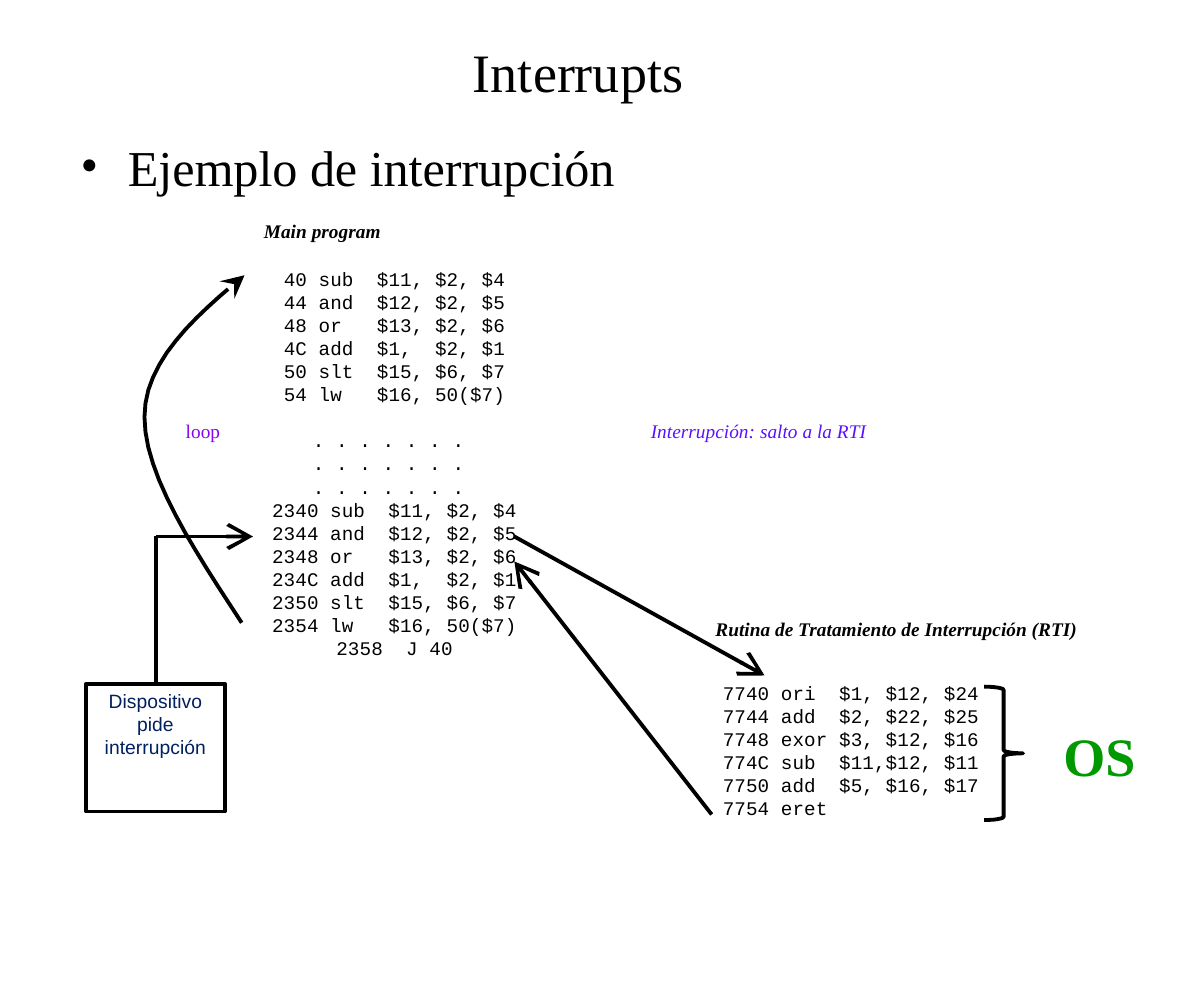
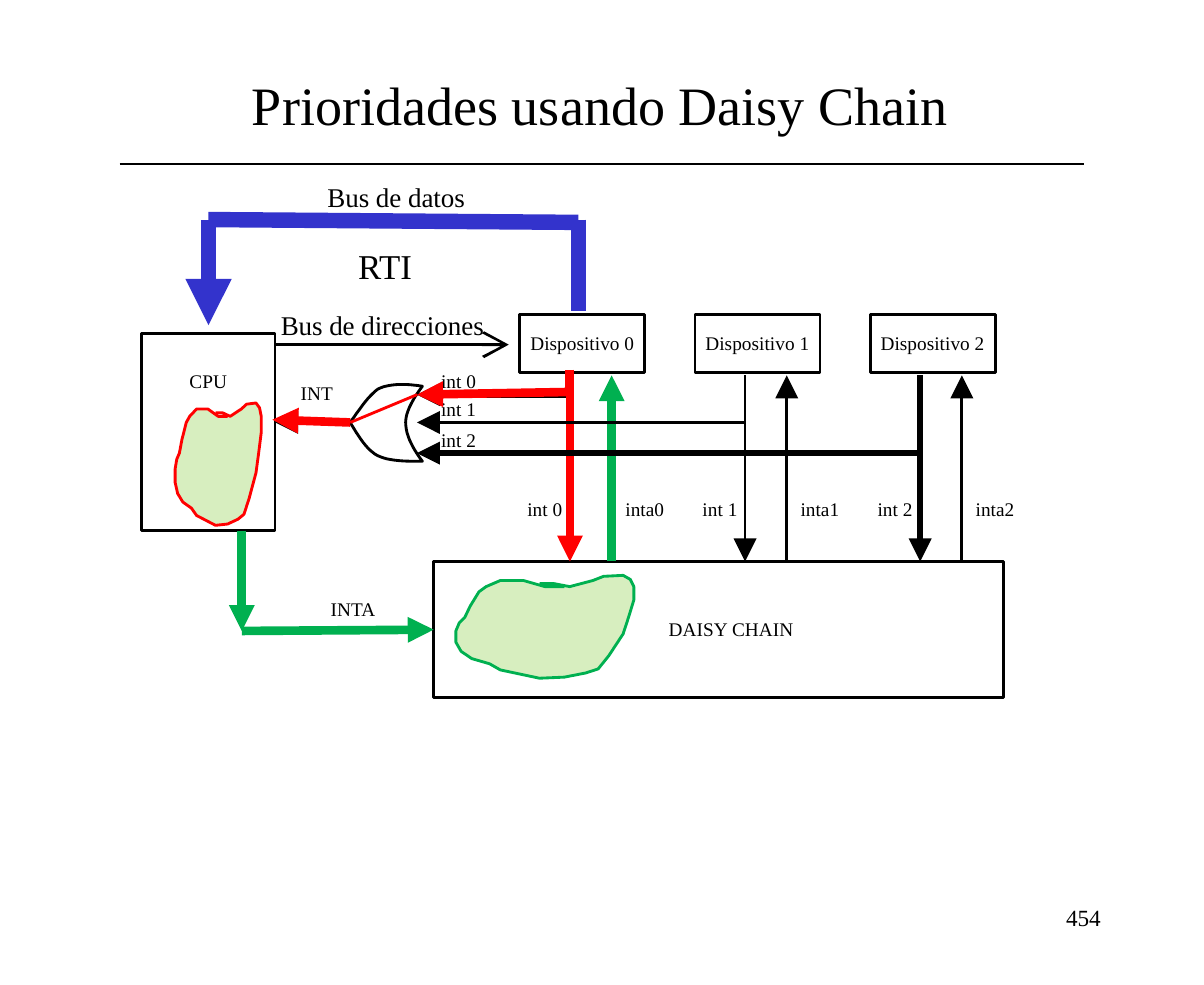
from dataclasses import dataclass

import pptx
import pptx.dml.color
import pptx.enum.shapes
import pptx.enum.text
import pptx.oxml.ns
import pptx.oxml.xmlchemy
import pptx.util
from pptx.util import Inches

SERIF, SANS, MONO = "Times New Roman", "Arial", "Courier New"
BLACK, RED, GREEN, BLUE = "000000", "FF0000", "00B050", "3333CC"
LIME, NAVY, OS_GREEN = "92D050", "002060", "009900"
PURPLE, VIOLET = "8901F3", "5A11FD"
ALIGN = pptx.enum.text.PP_ALIGN
ANCHOR = pptx.enum.text.MSO_ANCHOR
SHAPE = pptx.enum.shapes.MSO_SHAPE
qn = pptx.oxml.ns.qn
Points = list[tuple[float, float]]

# One string a paragraph; a newline is a line break inside it.
MAIN_START = [
    "40 sub  $11, $2, $4",
    "44 and  $12, $2, $5\n"
    "48 or   $13, $2, $6\n"
    "4C add  $1,  $2, $1\n"
    "50 slt  $15, $6, $7\n"
    "54 lw   $16, 50($7)",
]
MAIN_END = [". . . . . . . "] * 3 + [
    "2340 sub  $11, $2, $4",
    "2344 and  $12, $2, $5\n"
    "2348 or   $13, $2, $6\n"
    "234C add  $1,  $2, $1\n"
    "2350 slt  $15, $6, $7\n"
    "2354 lw   $16, 50($7)",
    "2358  J 40",
]
ROUTINE = [
    "7740 ori  $1, $12, $24",
    "7744 add  $2, $22, $25\n"
    "7748 exor $3, $12, $16\n"
    "774C sub  $11,$12, $11\n"
    "7750 add  $5, $16, $17",
    "7754 eret",
]
LOOP = [(0.87, 2.24), (0.7, 1.98), (0.52, 1.71), (0.52, 1.5),
        (0.52, 1.3), (0.7, 1.14), (0.88, 0.99)]
OR_GATE = [(1.52, 1.66), (1.46, 1.66), (1.4, 1.66), (1.36, 1.64),
           (1.32, 1.62), (1.29, 1.57), (1.26, 1.52),
           (1.29, 1.48), (1.32, 1.43), (1.36, 1.4),
           (1.4, 1.38), (1.46, 1.38), (1.52, 1.39),
           (1.49, 1.43), (1.46, 1.48), (1.46, 1.52),
           (1.46, 1.57), (1.49, 1.62), (1.52, 1.66)]
# Hand-drawn outline, as fractions of its width and height.
BLOB = [(0.61, 0.11), (0.5, 0.11), (0.38, 0.05), (0.25, 0.05), (0.17, 0.11),
        (0.13, 0.16), (0.08, 0.3), (0.05, 0.41), (0.02, 0.46), (0, 0.54),
        (0, 0.65), (0.03, 0.74), (0.09, 0.81), (0.19, 0.86), (0.25, 0.92),
        (0.47, 1), (0.61, 0.99), (0.73, 0.95), (0.8, 0.91), (0.86, 0.78),
        (0.94, 0.57), (0.97, 0.41), (1, 0.24), (1, 0.11), (0.98, 0.04),
        (0.94, 0), (0.83, 0.01), (0.77, 0.05), (0.64, 0.11), (0.55, 0.08),
        (0.47, 0.08)]


@dataclass
class Line:
    x1: float
    y1: float
    x2: float
    y2: float
    color: str = BLACK
    width: float = 0.75
    head: str = ""


@dataclass
class Label:
    text: str
    x: float
    y: float
    w: float = 0.24
    size: float = 5


@dataclass
class Wire:
    """The request line of one device."""
    y: float
    down_color: str
    down_width: float
    bus_width: float
    up_color: str
    up_width: float


def rgb(color: str) -> pptx.dml.color.RGBColor:
    return pptx.dml.color.RGBColor.from_string(color)


def sub(parent, tag: str, **attributes: str) -> None:
    """Append an XML element with its attributes."""
    element = pptx.oxml.xmlchemy.OxmlElement(tag)
    for name, value in attributes.items():
        element.set(name, value)
    parent.append(element)


def set_line(s, color: str, width: float, head: str = "") -> None:
    s.line.color.rgb = rgb(color)
    s.line.width = pptx.util.Pt(width)
    if head:
        sub(s.element.spPr.find(qn("a:ln")), "a:tailEnd", type=head)


def write(tf, paragraphs: list[str], *, size: float = 5, font: str = SERIF,
          color: str = BLACK, bold: bool = False, italic: bool = False, align=ALIGN.CENTER,
          anchor=ANCHOR.TOP, bullet: str = "", gaps: dict[int, float] | None = None) -> None:
    """Fill a text frame; gaps maps a paragraph's index to the points before it."""
    tf.word_wrap = True
    tf.vertical_anchor = anchor
    tf.margin_left = tf.margin_right = Inches(0.04)
    tf.margin_top = tf.margin_bottom = Inches(0.02)
    for i, text in enumerate(paragraphs):
        p = tf.add_paragraph() if i else tf.paragraphs[0]
        p.alignment = align
        if gaps and i in gaps:
            p.space_before = pptx.util.Pt(gaps[i])
        if bullet:
            pPr = p._p.get_or_add_pPr()
            pPr.set("marL", str(Inches(0.17)))
            pPr.set("indent", str(Inches(-0.17)))
            sub(pPr, "a:buFont", typeface=font)
            sub(pPr, "a:buChar", char=bullet)
        p.font.size = pptx.util.Pt(size)
        for n, line in enumerate(text.split("\n")):
            if n:
                p.add_line_break()
            r = p.add_run()
            r.text = line
            r.font.name, r.font.size = font, pptx.util.Pt(size)
            r.font.bold, r.font.italic = bold, italic
            r.font.color.rgb = rgb(color)


def add_text(slide, text: str | list[str], x: float, y: float, w: float, h: float = 0.13,
             **style) -> None:
    box = slide.shapes.add_textbox(Inches(x), Inches(y), Inches(w), Inches(h))
    write(box.text_frame, [text] if isinstance(text, str) else text, **style)


def add_title(slide, text: str, x: float, y: float) -> None:
    add_text(slide, text, x, y, 3.68, 0.59, size=14, anchor=ANCHOR.MIDDLE)


def add_label(slide, label: Label) -> None:
    add_text(slide, label.text, label.x, label.y, label.w, size=label.size)


def add_outline(slide, x: float, y: float, w: float, h: float, width: float = 0.75,
                kind=SHAPE.RECTANGLE):
    """Add an unfilled preset shape."""
    s = slide.shapes.add_shape(kind, Inches(x), Inches(y), Inches(w), Inches(h))
    s.shadow.inherit = False
    s.fill.background()
    set_line(s, BLACK, width)
    return s


def add_line(slide, line: Line):
    c = slide.shapes.add_connector(
        pptx.enum.shapes.MSO_CONNECTOR.STRAIGHT,
        Inches(line.x1), Inches(line.y1), Inches(line.x2), Inches(line.y2))
    set_line(c, line.color, line.width, line.head)
    sub(c.element.spPr, "a:effectLst")
    return c


def bezier(points: Points, steps: int = 12) -> Points:
    """Sample a chain of cubic curves: a start, then three points a curve."""
    out = [points[0]]
    for k in range(0, len(points) - 1, 3):
        a, b, c, d = points[k:k + 4]
        for n in range(1, steps + 1):
            t = n / steps
            u = 1 - t
            out.append(tuple(u**3 * a[j] + 3 * u * u * t * b[j] + 3 * u * t * t * c[j]
                             + t**3 * d[j] for j in (0, 1)))
    return out


def add_freeform(slide, points: Points, color: str = BLACK, width: float = 0.75,
                 head: str = "", fill: str = "") -> None:
    start, *rest = [(Inches(x), Inches(y)) for x, y in points]
    builder = slide.shapes.build_freeform(*start)
    builder.add_line_segments(rest, close=False)
    s = builder.convert_to_shape()
    s.shadow.inherit = False
    if fill:
        s.fill.solid()
        s.fill.fore_color.rgb = rgb(fill)
        sub(s.element.spPr.find(qn("a:solidFill"))[0], "a:alpha", val="36000")
    else:
        s.fill.background()
    set_line(s, color, width, head)


def add_blob(slide, x: float, y: float, w: float, h: float, color: str) -> None:
    add_freeform(slide, [(x + w * u, y + h * v) for u, v in BLOB], color, fill=LIME)


def build_interrupts(slide) -> None:
    add_title(slide, "Interrupts", 0.24, -0.04)
    add_text(slide, "Ejemplo de interrupción", 0.25, 0.47, 3.86, 0.23, size=13,
             align=ALIGN.LEFT, bullet="•")

    add_text(slide, "Main program", 0.9, 0.77, 0.52, bold=True, italic=True)
    add_text(slide, MAIN_START + MAIN_END, 0.7, 0.94, 1.44, 1.56, font=MONO,
             gaps={len(MAIN_START): 6})
    add_freeform(slide, bezier(LOOP), width=1, head="stealth")
    add_text(slide, "loop", 0.62, 1.49, 0.22, color=PURPLE)
    add_text(slide, "Interrupción: salto a la RTI", 2.28, 1.49, 0.9, color=VIOLET, italic=True)

    add_text(slide, "Rutina de Tratamiento de Interrupción (RTI) ", 2.51, 2.2, 1.45,
             bold=True, italic=True)
    add_text(slide, ROUTINE, 2.56, 2.43, 1.02, 0.63, font=MONO, align=ALIGN.LEFT)
    add_outline(slide, 3.54, 2.47, 0.14, 0.48, 1, SHAPE.RIGHT_BRACE)
    add_text(slide, "OS", 3.72, 2.58, 0.47, 0.28, size=14, color=OS_GREEN, bold=True)

    device = add_outline(slide, 0.31, 2.46, 0.5, 0.46, 1)
    write(device.text_frame, ["Dispositivo pide interrupción"], font=SANS, color=NAVY)
    request = add_line(slide, Line(0.56, 2.46, 0.56, 1.93, width=1))
    request.begin_connect(device, 0)
    for line in (
        Line(0.56, 1.93, 0.91, 1.93, width=1, head="arrow"),
        Line(1.85, 1.93, 2.75, 2.43, width=1, head="arrow"),
        Line(2.56, 2.93, 1.85, 2.02, width=1, head="arrow"),
    ):
        add_line(slide, line)


def build_daisy_chain(slide) -> None:
    add_text(slide, "454", 3.1, 3.23, 0.9, 0.24, size=6, align=ALIGN.RIGHT)
    add_title(slide, "Prioridades usando Daisy Chain", 0.32, 0.08)
    add_line(slide, Line(0.43, 0.59, 3.9, 0.59))

    add_outline(slide, 0.51, 1.2, 0.48, 0.71)
    chain = add_outline(slide, 1.56, 2.02, 2.05, 0.49)
    add_freeform(slide, bezier(OR_GATE))
    add_line(slide, Line(1.26, 1.52, 0.99, 1.52, width=1.5, head="triangle"))

    wires = [
        Wire(1.42, RED, 2.25, 1.5, GREEN, 2.25),
        Wire(1.52, BLACK, 0.75, 0.75, BLACK, 0.75),
        Wire(1.63, BLACK, 1.5, 1.5, BLACK, 0.75),
    ]
    for i, wire in enumerate(wires):
        left = 1.87 + 0.63 * i
        down, up = left + 0.18, left + 0.33
        device = add_outline(slide, left, 1.13, 0.45, 0.21)
        write(device.text_frame, [f"Dispositivo {i}"], anchor=ANCHOR.MIDDLE)
        device.text_frame.margin_left = device.text_frame.margin_right = 0
        add_line(slide, Line(down, wire.y, 1.5, wire.y, BLACK, wire.bus_width, "triangle"))
        add_line(slide, Line(down, 1.35, down, 2.02, wire.down_color, wire.down_width,
                             "triangle"))
        add_line(slide, Line(up, 2.02, up, 1.35, wire.up_color, wire.up_width, "triangle"))
        add_label(slide, Label(f"int {i}", 1.53, wire.y - 0.11))
        add_label(slide, Label(f"int {i}", left - 0.03, 1.77))
        add_label(slide, Label(f"inta{i}", up, 1.77))

    for line in (
        Line(2.05, 1.33, 2.05, 1.41, RED, 2.25),
        Line(2.06, 1.41, 1.5, 1.42, RED, 2.25, "triangle"),
        Line(1.5, 1.42, 1.26, 1.52, RED),
        Line(1.26, 1.52, 0.98, 1.51, RED, 2.25, "triangle"),
        Line(0.87, 1.91, 0.87, 2.27, GREEN, 2.25, "triangle"),
        Line(0.99, 1.24, 1.83, 1.24, head="arrow"),
        Line(2.08, 0.8, 0.75, 0.79, BLUE, 4),
        Line(2.08, 0.79, 2.08, 1.12, BLUE, 4),
        Line(0.75, 0.79, 0.75, 1.17, BLUE, 4, "triangle"),
    ):
        add_line(slide, line)
    acknowledge = add_line(slide, Line(0.87, 2.27, 1.56, 2.27, GREEN, 2.25, "triangle"))
    acknowledge.end_connect(chain, 1)

    add_blob(slide, 1.64, 2.07, 0.64, 0.37, GREEN)
    add_blob(slide, 0.63, 1.45, 0.31, 0.44, RED)
    for label in (
        Label("CPU", 0.63, 1.31),
        Label("INT", 1.02, 1.35),
        Label("INTA", 1.08, 2.13, 0.38),
        Label("DAISY CHAIN", 2.07, 2.2, 1.12),
        Label("Bus de direcciones", 0.9, 1.09, 0.95, 7),
        Label("Bus de datos", 1.07, 0.63, 0.71, 7),
        Label("RTI", 1.18, 0.86, 0.41, 9),
    ):
        add_label(slide, label)


def main() -> None:
    prs = pptx.Presentation()
    prs.slide_width, prs.slide_height = pptx.util.Cm(11), pptx.util.Cm(9)
    for build in (build_interrupts, build_daisy_chain):
        build(prs.slides.add_slide(prs.slide_layouts[6]))
    prs.save("out.pptx")


if __name__ == "__main__":
    main()
